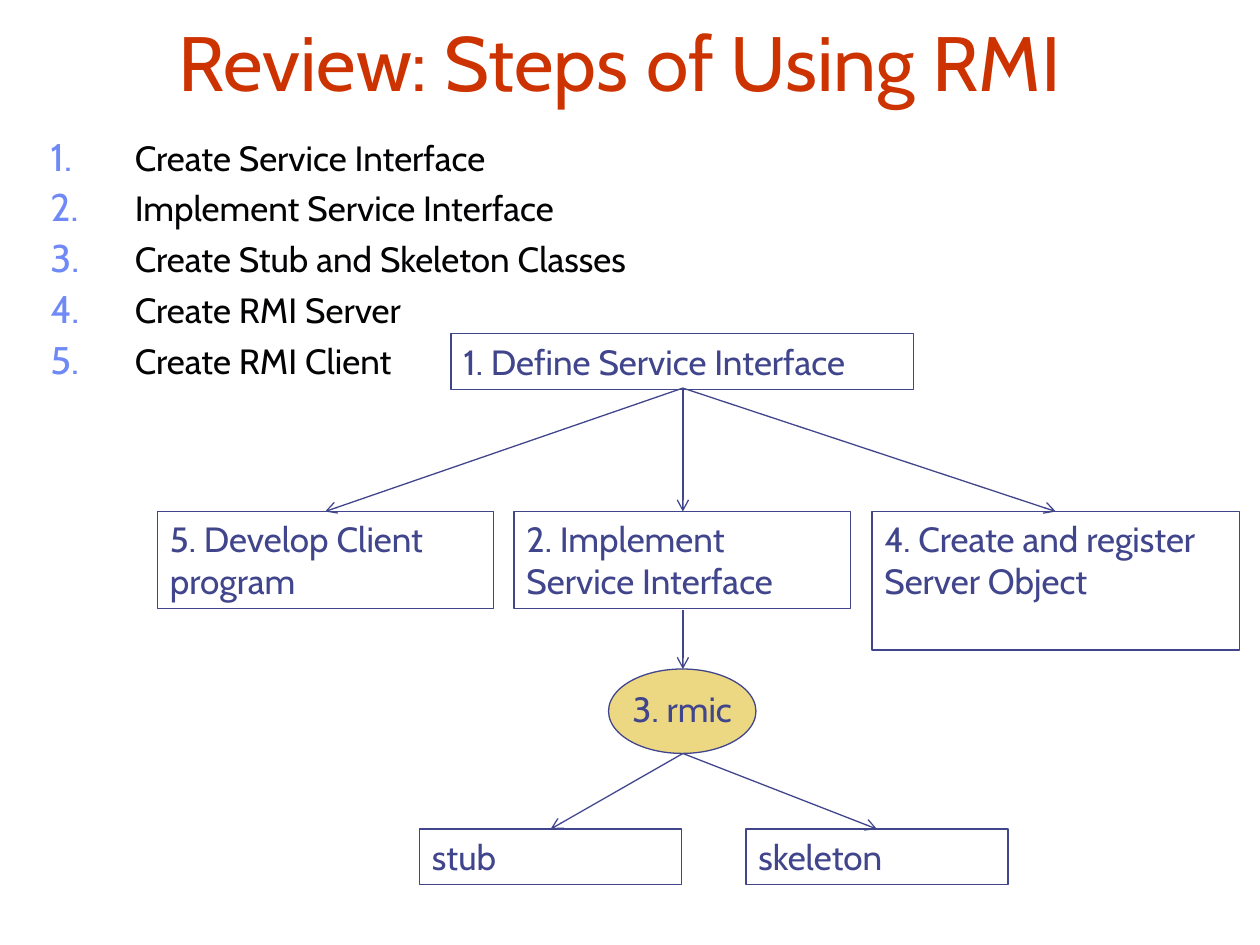
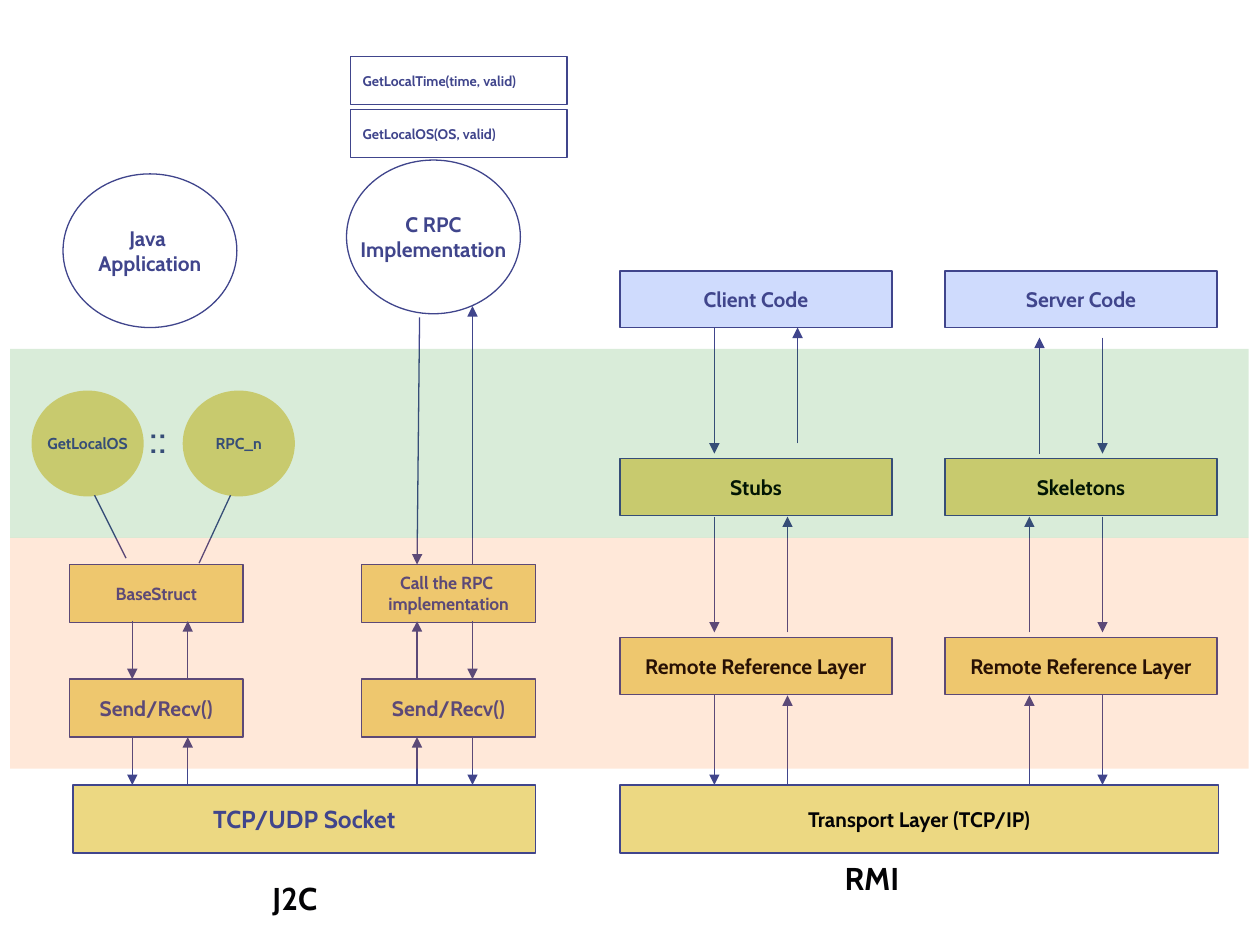
import pptx
import pptx.util
import pptx.dml.color
import pptx.enum.shapes
import pptx.enum.text
import pptx.oxml
import pptx.oxml.ns

Inches = pptx.util.Inches
SHAPE = pptx.enum.shapes.MSO_SHAPE
ALIGN = pptx.enum.text.PP_ALIGN
ANCHOR = pptx.enum.text.MSO_ANCHOR
FONT = "Cabin"
COLORS = {
    "title": "CC3300", "text": "030305", "navy": "40458C", "number": "6F89F7",
    "gold": "ECD882", "blue": "CFDBFD", "white": "FFFFFF",
    "green band": "008000", "orange band": "FF6600",
}
NS = 'xmlns:a="http://schemas.openxmlformats.org/drawingml/2006/main"'


def rgb(name):
    return pptx.dml.color.RGBColor.from_string(COLORS[name])


def add_text(s, text, x, y, w, h, shape=None, fill=None, line="navy", alpha=None,
             size=12, color="navy", bold=False, align=ALIGN.CENTER,
             anchor=ANCHOR.MIDDLE, wrap=False, inset=True, numbered=False):
    at = [Inches(v) for v in (x, y, w, h)]
    if shape is None:
        sp = s.shapes.add_textbox(*at)
    else:
        sp = s.shapes.add_shape(shape, *at)
        sp.shadow.inherit = False
        if fill:
            sp.fill.solid()
            sp.fill.fore_color.rgb = rgb(fill)
        else:
            sp.fill.background()
        if alpha:
            clr = sp.fill._xPr.find(".//" + pptx.oxml.ns.qn("a:srgbClr"))
            clr.append(pptx.oxml.parse_xml(f'<a:alpha {NS} val="{alpha * 1000}"/>'))
        if line:
            sp.line.color.rgb = rgb(line)
            sp.line.width = pptx.util.Pt(0.75)
        else:
            sp.line.fill.background()
    if not text:
        return
    tf = sp.text_frame
    tf.word_wrap = wrap
    tf.vertical_anchor = anchor
    tf.margin_left = tf.margin_right = Inches(0.1 if inset else 0)
    tf.margin_top = tf.margin_bottom = Inches(0.05 if inset else 0)
    for i, words in enumerate(text.split("\n")):
        p = tf.paragraphs[0] if i == 0 else tf.add_paragraph()
        p.alignment = align
        if numbered:
            if i:
                p.space_before = pptx.util.Pt(5)
            pPr = p._p.get_or_add_pPr()
            pPr.set("marL", str(Inches(0.74)))
            pPr.set("indent", str(Inches(-0.67)))
            for bullet in (f'<a:buClr {NS}><a:srgbClr val="{COLORS["number"]}"/></a:buClr>',
                           f'<a:buSzPct {NS} val="110000"/>',
                           f'<a:buFont {NS} typeface="{FONT}"/>',
                           f'<a:buAutoNum {NS} type="arabicPeriod"/>'):
                pPr.append(pptx.oxml.parse_xml(bullet))
        r = p.add_run()
        r.text = words
        r.font.name = FONT
        r.font.size = pptx.util.Pt(size)
        r.font.bold = bold
        r.font.color.rgb = rgb(color)


def add_line(s, x1, y1, x2, y2, head=None):
    cn = s.shapes.add_connector(pptx.enum.shapes.MSO_CONNECTOR.STRAIGHT,
                                Inches(x1), Inches(y1), Inches(x2), Inches(y2))
    cn.line.color.rgb = rgb("navy")
    cn.line.width = pptx.util.Pt(0.75)
    if head:
        cn.line._get_or_add_ln().append(
            pptx.oxml.parse_xml(f'<a:tailEnd {NS} type="{head}"/>'))
    cn._element.spPr.append(pptx.oxml.parse_xml(f"<a:effectLst {NS}/>"))


prs = pptx.Presentation()
prs.slide_width = Inches(10)
prs.slide_height = Inches(7.5)

s = prs.slides.add_slide(prs.slide_layouts[6])
add_text(s, "Review: Steps of Using RMI", 0.67, 0.02, 8.5, 0.92, size=44,
         color="title", wrap=True, inset=False)
steps = ["Create Service Interface", "Implement Service Interface",
         "Create Stub and Skeleton Classes", "Create RMI Server", "Create RMI Client"]
add_text(s, "\n".join(steps), 0.33, 1.08, 6, 2.08, size=20, color="text",
         align=ALIGN.LEFT, anchor=ANCHOR.TOP, wrap=True, inset=False, numbered=True)

for text, x, y, w, h in [
    ("1. Define Service Interface", 3.58, 2.65, 3.67, 0.44),
    ("5. Develop Client program", 1.25, 4.06, 2.67, 0.77),
    ("2. Implement Service Interface", 4.08, 4.06, 2.67, 0.77),
    ("4. Create and register Server Object", 6.92, 4.06, 2.92, 1.1),
    ("stub", 3.33, 6.58, 2.08, 0.44),
    ("skeleton", 5.92, 6.58, 2.08, 0.44),
]:
    add_text(s, text, x, y, w, h, SHAPE.RECTANGLE, size=20, align=ALIGN.LEFT,
             anchor=ANCHOR.TOP, wrap=True)
add_text(s, "3. rmic", 4.83, 5.31, 1.17, 0.67, SHAPE.OVAL, "gold", size=20,
         anchor=ANCHOR.TOP)

for y1, y2, targets in [(3.08, 4.06, (2.58, 5.42, 8.38)),
                        (4.84, 5.31, (5.42,)),
                        (5.98, 6.58, (4.37, 6.96))]:
    for x in targets:
        add_line(s, 5.42, y1, x, y2, "arrow")

s = prs.slides.add_slide(prs.slide_layouts[6])
add_text(s, "Java \nApplication", 0.5, 1.38, 1.38, 1.22, SHAPE.OVAL, "white", bold=True)
for text, y in [("GetLocalTime(time, valid)", 0.45), ("GetLocalOS(OS, valid)", 0.87)]:
    add_text(s, text, 2.78, y, 1.72, 0.38, SHAPE.RECTANGLE, "white", size=8, bold=True,
             align=ALIGN.LEFT)

for x, call in [(0.55, "BaseStruct"), (2.87, "Call the RPC \nimplementation")]:
    add_text(s, call, x, 4.48, 1.38, 0.46, SHAPE.RECTANGLE, "gold", size=10, bold=True)
    add_text(s, "Send/Recv()", x, 5.39, 1.38, 0.46, SHAPE.RECTANGLE, "gold", bold=True)
add_text(s, "TCP/UDP Socket", 0.58, 6.23, 3.67, 0.54, SHAPE.RECTANGLE, "gold",
         size=14, bold=True)
for text, x in [("GetLocalOS", 0.25), ("RPC_n", 1.45)]:
    add_text(s, text, x, 3.1, 0.89, 0.84, SHAPE.OVAL, "gold", None, size=9, bold=True)
add_text(s, "::", 1.09, 3.22, 0.38, 0.5, size=24, align=ALIGN.LEFT, anchor=ANCHOR.TOP)
add_line(s, 0.75, 3.93, 1, 4.43)
add_line(s, 1.83, 3.93, 1.58, 4.47)

for x, code, proxy in [(4.92, "Client Code", "Stubs"), (7.5, "Server Code", "Skeletons")]:
    add_text(s, code, x, 2.15, 2.16, 0.45, SHAPE.RECTANGLE, "blue", bold=True)
    for text, y in [(proxy, 3.64), ("Remote Reference Layer", 5.06)]:
        add_text(s, text, x, y, 2.16, 0.45, SHAPE.RECTANGLE, "gold", color="text", bold=True)
add_text(s, "Transport Layer (TCP/IP)", 4.92, 6.23, 4.75, 0.54, SHAPE.RECTANGLE, "gold",
         color="text", bold=True)
for text, x, y, w in [("RMI", 6.57, 6.77, 0.7), ("J2C", 2.05, 6.93, 0.58)]:
    add_text(s, text, x, y, w, 0.4, size=18, color="text", bold=True, anchor=ANCHOR.TOP)

for top, bottom, pairs in [
    (4.93, 5.39, [(1.05, 1.49), (3.75, 3.31)]),
    (5.85, 6.23, [(1.05, 1.49), (3.75, 3.31)]),
    (4.1, 5.02, [(5.67, 6.25), (8.75, 8.17)]),
    (5.52, 6.23, [(5.67, 6.25), (8.75, 8.17)]),
    (2.68, 3.6, [(8.75, 8.25)]),
]:
    for down, up in pairs:
        add_line(s, down, top, down, bottom, "triangle")
        add_line(s, up, bottom, up, top, "triangle")
for ends in [(3.33, 2.52, 3.31, 4.48), (3.75, 4.48, 3.75, 2.43),
             (5.67, 2.6, 5.67, 3.6), (6.33, 3.52, 6.33, 2.6)]:
    add_line(s, *ends, "triangle")

for band, y, h in [("green band", 2.77, 1.5), ("orange band", 4.27, 1.83)]:
    add_text(s, "", 0.08, y, 9.83, h, SHAPE.RECTANGLE, band, None, alpha=15)
add_text(s, "C RPC\nImplementation", 2.75, 1.27, 1.38, 1.22, SHAPE.OVAL, "white", bold=True)

prs.save("out.pptx")
